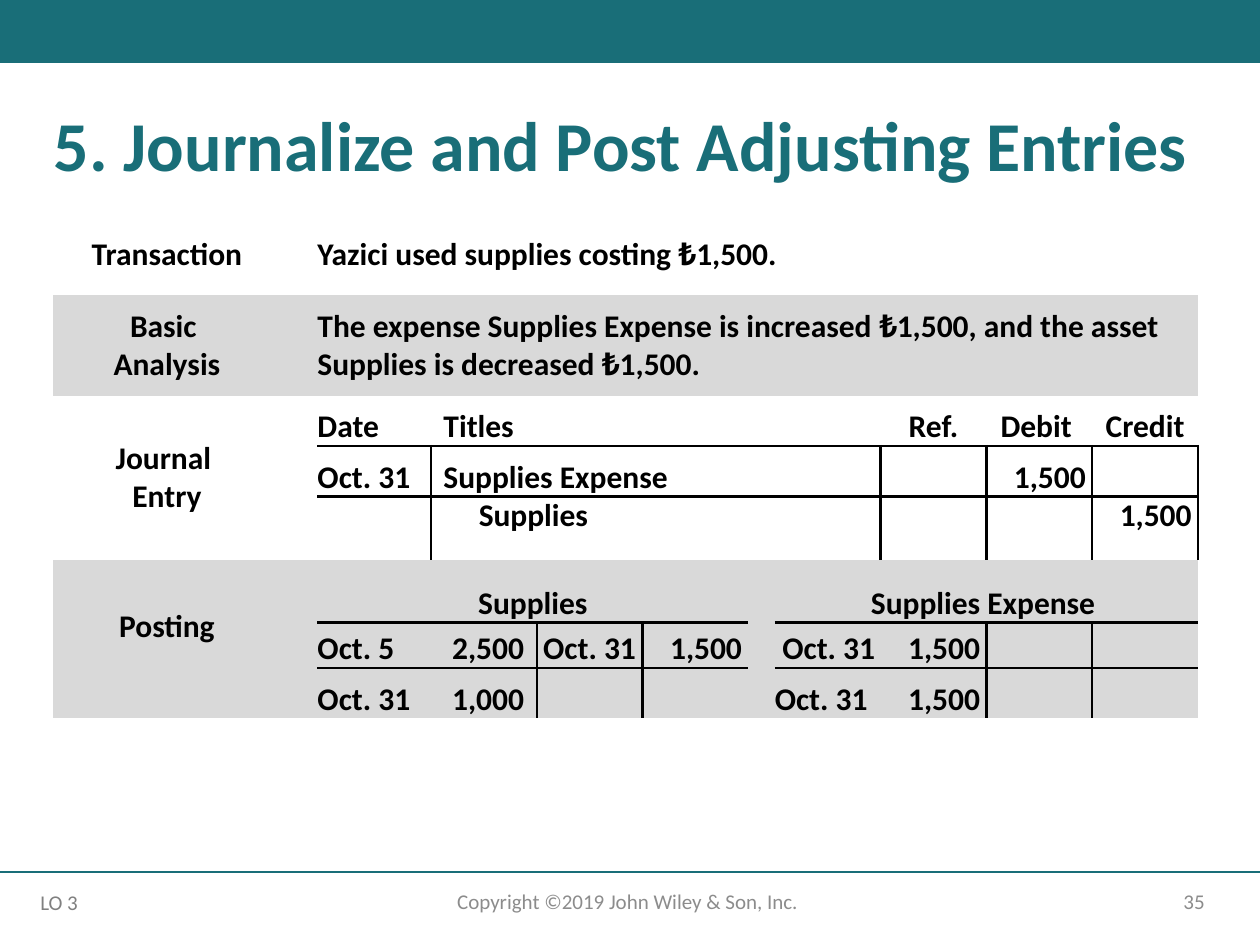
import collections
import pptx
import pptx.dml.color
import pptx.enum.shapes
import pptx.enum.text
import pptx.oxml
import pptx.oxml.ns
import pptx.util
from pptx.util import Inches

TEAL, GREY, DIM, BAND, BLACK = "196E78", "8C8C8C", "808080", "D9D9D9", "000000"
ALIGN = {"l": pptx.enum.text.PP_ALIGN.LEFT, "c": pptx.enum.text.PP_ALIGN.CENTER,
         "r": pptx.enum.text.PP_ALIGN.RIGHT}
ANCHOR = {"t": pptx.enum.text.MSO_ANCHOR.TOP, "m": pptx.enum.text.MSO_ANCHOR.MIDDLE,
          "b": pptx.enum.text.MSO_ANCHOR.BOTTOM}
PLAIN = "{2D5ABB26-0587-4C30-8999-92F81FD0307C}"

COLS = [1.81, 0.29, 0.9, 0.84, 0.84, 0.84, 0.21, 0.84, 0.84, 0.84, 0.84]
ROWS = [0.53, 0.8, 0.4, 0.4, 0.5, 0.5, 0.36, 0.4]
BANDS = (1, 5, 6, 7)

# row, column, text, align, anchor, insets (left, top, right, bottom), span (rows, columns)
CELLS = [
    (0, 0, "Transaction", "c", "m", (0, 0, 0, 0.1), (1, 1)),
    (0, 2, "Yazici used supplies costing ₺1,500.", "l", "m", (0, 0, 0, 0.1), (1, 9)),
    (1, 0, "Basic \nAnalysis", "c", "m", (0, 0.1, 0, 0.1), (1, 1)),
    (1, 2, "The expense Supplies Expense is increased ₺1,500, and the asset "
           "Supplies is decreased ₺1,500.", "l", "m", (0, 0.1, 0, 0.1), (1, 9)),
    (2, 0, "Journal \nEntry", "c", "m", (0, 0.1, 0, 0.1), (3, 1)),
    (2, 2, "Date", "l", "b", (0, 0, 0, 0), (1, 1)),
    (2, 3, "Titles", "l", "b", (0.1, 0, 0, 0), (1, 5)),
    (2, 8, "Ref.", "c", "b", (0, 0, 0, 0), (1, 1)),
    (2, 9, "Debit", "c", "b", (0, 0, 0.05, 0), (1, 1)),
    (2, 10, "Credit", "c", "b", (0, 0, 0, 0), (1, 1)),
    (3, 2, "Oct. 31", "l", "b", (0, 0.1, 0, 0), (1, 1)),
    (3, 3, "Supplies Expense", "l", "b", (0.1, 0.1, 0, 0), (1, 5)),
    (3, 9, "1,500", "r", "b", (0, 0.1, 0.05, 0), (1, 1)),
    (4, 3, "Supplies", "l", "b", (0.38, 0, 0, 0.2), (1, 5)),
    (4, 10, "1,500", "r", "b", (0, 0, 0.05, 0.2), (1, 1)),
    (5, 0, "Posting", "c", "m", (0, 0.2, 0, 0), (2, 1)),
    (5, 2, "Supplies", "c", "b", (0, 0.2, 0, 0), (1, 4)),
    (5, 7, "Supplies Expense", "c", "b", (0, 0.2, 0.05, 0), (1, 4)),
    (6, 2, "Oct. 5", "l", "b", (0, 0, 0, 0), (1, 1)),
    (6, 3, "2,500", "r", "b", (0, 0, 0.1, 0), (1, 1)),
    (6, 4, "Oct. 31", "c", "b", (0, 0, 0, 0), (1, 1)),
    (6, 5, "1,500", "r", "b", (0, 0, 0.05, 0), (1, 1)),
    (6, 7, "Oct. 31", "l", "b", (0.06, 0, 0, 0), (1, 1)),
    (6, 8, "1,500", "r", "b", (0, 0, 0.05, 0), (1, 1)),
    (7, 2, "Oct. 31", "l", "b", (0, 0.1, 0, 0), (1, 1)),
    (7, 3, "1,000", "r", "b", (0, 0.1, 0.1, 0), (1, 1)),
    (7, 7, "Oct. 31", "l", "b", (0, 0.1, 0, 0), (1, 1)),
    (7, 8, "1,500", "r", "b", (0, 0.1, 0.05, 0), (1, 1)),
]

# rules below a row, then rules right of a column
ACROSS = [((2,), range(2, 11)), ((5, 6), (2, 3, 4, 5, 7, 8, 9, 10))]
DOWN = [((3, 4), (2, 7, 8, 9)), ((6, 7), (3, 8))]


def rgb(code):
    return pptx.dml.color.RGBColor.from_string(code)


def edges():
    """Map each (row, column) to the sides that carry a rule."""
    sides = collections.defaultdict(set)
    for rows, cols in ACROSS:
        for r in rows:
            for c in cols:
                sides[r, c].add("B")
                sides[r + 1, c].add("T")
    for rows, cols in DOWN:
        for r in rows:
            for c in cols:
                sides[r, c].add("R")
                sides[r, c + 1].add("L")
    return sides


class Deck:
    font = "Calibri"

    def __init__(self, slide):
        self.slide = slide

    def words(self, frame, text, size, color, bold=False, align="l", space=None):
        """Fill a text frame and format its runs."""
        frame.text = text
        for para in frame.paragraphs:
            para.alignment = ALIGN[align]
            if space:
                para.line_spacing = space
            for run in para.runs:
                run.font.name = self.font
                run.font.size = pptx.util.Pt(size)
                run.font.bold = bold
                run.font.color.rgb = rgb(color)

    def bar(self, x, y, w, h, color):
        shape = self.slide.shapes.add_shape(
            pptx.enum.shapes.MSO_SHAPE.RECTANGLE, Inches(x), Inches(y), Inches(w), Inches(h))
        shape.shadow.inherit = False
        shape.fill.solid()
        shape.fill.fore_color.rgb = rgb(color)
        shape.line.fill.background()

    def line(self, x1, y1, x2, y2, color, width):
        line = self.slide.shapes.add_connector(
            pptx.enum.shapes.MSO_CONNECTOR.STRAIGHT,
            Inches(x1), Inches(y1), Inches(x2), Inches(y2))
        line.line.color.rgb = rgb(color)
        line.line.width = pptx.util.Pt(width)
        line.element.spPr.append(pptx.oxml.parse_xml(
            f"<a:effectLst {pptx.oxml.ns.nsdecls('a')}/>"))

    def text(self, x, y, w, h, text, size, color, anchor="m", inset=0.1, **style):
        frame = self.slide.shapes.add_textbox(
            Inches(x), Inches(y), Inches(w), Inches(h)).text_frame
        frame.word_wrap = True
        frame.vertical_anchor = ANCHOR[anchor]
        frame.margin_left = frame.margin_right = Inches(inset)
        self.words(frame, text, size, color, **style)

    def rule(self, cell, sides):
        """Draw the given sides of a cell, in schema order."""
        props = cell._tc.get_or_add_tcPr()
        for i, side in enumerate(s for s in "LRTB" if s in sides):
            props.insert(i, pptx.oxml.parse_xml(
                f'<a:ln{side} {pptx.oxml.ns.nsdecls("a")} w="{pptx.util.Pt(1.5)}">'
                f'<a:solidFill><a:srgbClr val="{BLACK}"/></a:solidFill></a:ln{side}>'))

    def inset(self, cell, left, top, right, bottom):
        cell.margin_left, cell.margin_top = Inches(left), Inches(top)
        cell.margin_right, cell.margin_bottom = Inches(right), Inches(bottom)

    def table(self, x, y):
        table = self.slide.shapes.add_table(
            len(ROWS), len(COLS), Inches(x), Inches(y),
            Inches(sum(COLS)), Inches(sum(ROWS))).table
        table.first_row = table.horz_banding = False
        table._tbl.tblPr.find(pptx.oxml.ns.qn("a:tableStyleId")).text = PLAIN
        for col, width in zip(table.columns, COLS):
            col.width = Inches(width)
        for row, height in zip(table.rows, ROWS):
            row.height = Inches(height)
        sides = edges()
        for r in range(len(ROWS)):
            for c in range(len(COLS)):
                cell = table.cell(r, c)
                self.inset(cell, 0, 0, 0, 0)
                if r in BANDS:
                    cell.fill.solid()
                    cell.fill.fore_color.rgb = rgb(BAND)
                else:
                    cell.fill.background()
                self.rule(cell, sides[r, c])
        for r, c, text, align, anchor, inset, (high, wide) in CELLS:
            cell = table.cell(r, c)
            if high * wide > 1:
                cell.merge(table.cell(r + high - 1, c + wide - 1))
            self.inset(cell, *inset)
            cell.vertical_anchor = ANCHOR[anchor]
            self.words(cell.text_frame, text, 18, BLACK, bold=True, align=align)


def main():
    show = pptx.Presentation()
    show.slide_width, show.slide_height = Inches(10), Inches(7.5)
    deck = Deck(show.slides.add_slide(show.slide_layouts[6]))
    deck.bar(0, 0, 10, 0.5, TEAL)
    deck.line(0, 6.92, 10, 6.92, TEAL, 1)
    deck.text(7.06, 6.95, 2.6, 0.4, "35", 12, GREY, align="r")
    deck.text(3.31, 6.95, 3.38, 0.4, "Copyright ©2019 John Wiley & Son, Inc. ",
              12, GREY, align="c")
    deck.text(0.25, 7.01, 0.53, 0.3, "LO 3", 12, DIM, anchor="t", inset=0.07)
    deck.text(0.33, 0.83, 9.67, 0.71, "5. Journalize and Post Adjusting Entries",
              40, TEAL, anchor="t", bold=True, space=0.9)
    deck.table(0.42, 1.81)
    show.save("out.pptx")


if __name__ == "__main__":
    main()
